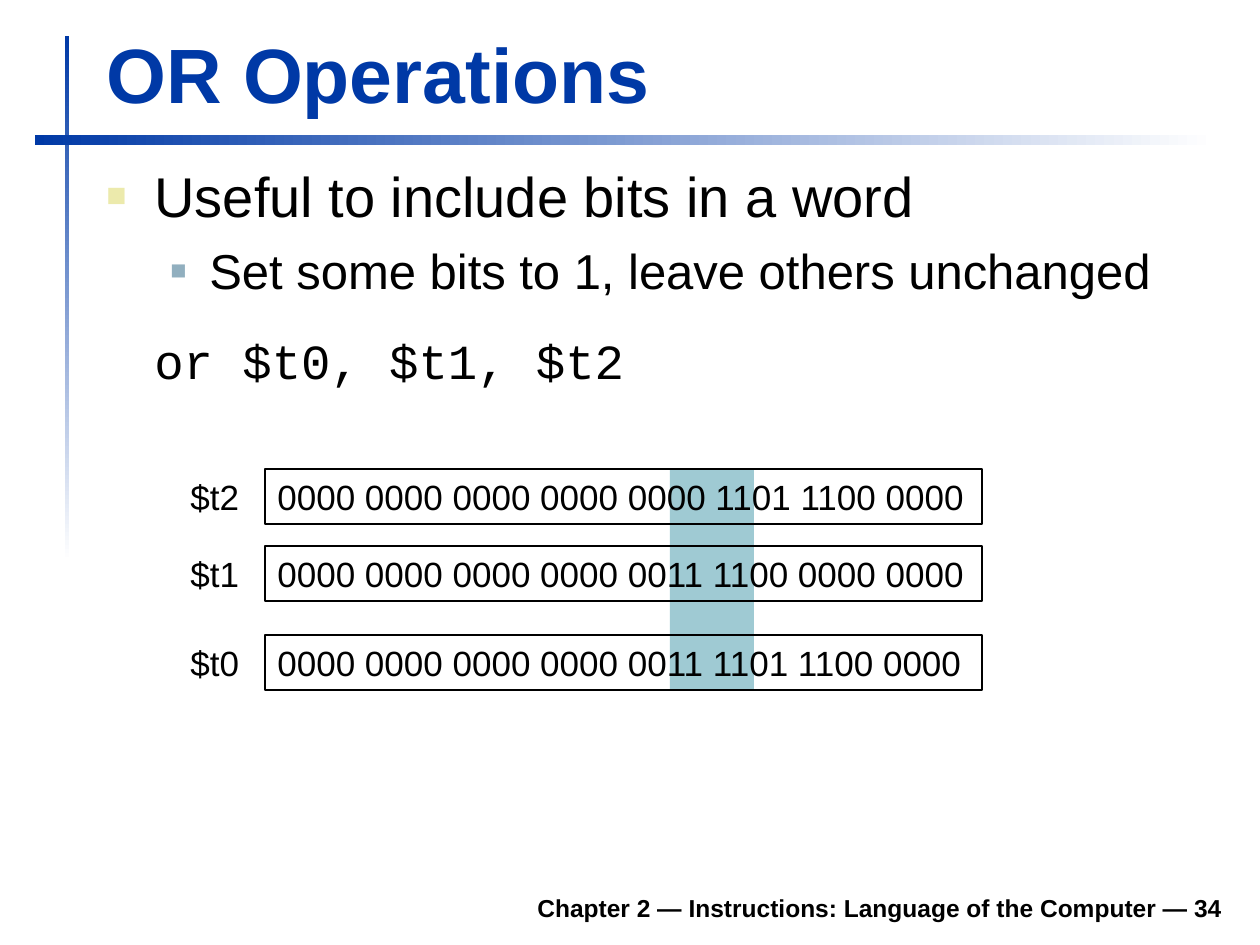
from lxml.etree import SubElement
from pptx import Presentation
from pptx.dml.color import RGBColor
from pptx.enum.shapes import MSO_SHAPE as Shape
from pptx.enum.text import MSO_ANCHOR as Anchor, MSO_AUTO_SIZE as AutoSize, PP_ALIGN as Align
from pptx.oxml.ns import qn
from pptx.util import Pt

EMU_PER_PX = 914400 / 126
BLUE, BLACK, WHITE, TEAL = "0039A6", "000000", "FFFFFF", "9FCAD3"


def px(length):
    return round(length * EMU_PER_PX)


def color(code):
    return RGBColor.from_string(code)


class Painter:
    """Holds the text style and the current slide."""
    font = "Arial"

    def __init__(self, page):
        self.page = page

    def rect(self, left, top, width, height):
        box = self.page.shapes.add_shape(
            Shape.RECTANGLE, px(left), px(top), px(width), px(height))
        box.shadow.inherit = False
        box.fill.background()
        box.line.fill.background()
        return box

    def block(self, *place, fill):
        box = self.rect(*place)
        box.fill.solid()
        box.fill.fore_color.rgb = color(fill)

    def fading_bar(self, *place, angle):
        fill = self.rect(*place).fill
        fill.gradient()
        fill.gradient_angle = angle
        for stop, code in zip(fill.gradient_stops, (BLUE, WHITE)):
            stop.color.rgb = color(code)

    def format(self, para, size, ink=BLACK, bold=False, font=None):
        for span in para.runs:
            span.font.name = font or self.font
            span.font.size = Pt(size)
            span.font.bold = bold
            span.font.color.rgb = color(ink)

    def textbox(self, left, top, width, height, anchor=Anchor.TOP):
        frame = self.page.shapes.add_textbox(
            px(left), px(top), px(width), px(height)).text_frame
        frame.word_wrap = True
        frame.vertical_anchor = anchor
        return frame

    def text(self, words, *place, size, align=Align.LEFT, anchor=Anchor.BOTTOM, **style):
        frame = self.textbox(*place, anchor=anchor)
        frame.text = words
        frame.paragraphs[0].alignment = align
        self.format(frame.paragraphs[0], size, **style)

    def outlined_text(self, words, *place, size):
        box = self.rect(*place)
        box.line.color.rgb = color(BLACK)
        box.line.width = Pt(0.75)
        frame = box.text_frame
        frame.text = words
        frame.word_wrap = False
        frame.auto_size = AutoSize.SHAPE_TO_FIT_TEXT
        frame.vertical_anchor = Anchor.TOP
        frame.paragraphs[0].alignment = Align.LEFT
        self.format(frame.paragraphs[0], size)

    def item(self, para, words, size, margin, before, after=0, level=0,
             hang=0, bullet=None, font=None):
        """A body paragraph; bullet is (colour, percent of text size)."""
        para.text = words
        para.level = level
        para.space_before, para.space_after = Pt(before), Pt(after)
        self.format(para, size, font=font)
        props = para._p.get_or_add_pPr()
        props.set("marL", str(px(margin)))
        props.set("indent", str(-px(hang)))
        if bullet:
            code, percent = bullet
            tint = SubElement(props, qn("a:buClr"))
            SubElement(tint, qn("a:srgbClr"), val=code)
            SubElement(props, qn("a:buSzPct"), val=str(percent * 1000))
            SubElement(props, qn("a:buFont"), typeface=self.font)
            SubElement(props, qn("a:buChar"), char="■")


def main():
    deck = Presentation()
    deck.slide_width, deck.slide_height = px(1260), px(945)
    painter = Painter(deck.slides.add_slide(deck.slide_layouts[6]))

    painter.fading_bar(65, 36, 4, 525, angle=270)
    painter.fading_bar(35, 135, 1180, 10, angle=0)
    painter.text("Chapter 2 — Instructions: Language of the Computer — 34",
                 233, 880, 1002, 49, size=14, align=Align.RIGHT, bold=True)
    painter.block(670, 470, 84, 221, fill=TEAL)
    painter.text("OR Operations", 94, 20, 1138, 105, size=44, ink=BLUE, bold=True)

    body = painter.textbox(94, 155, 1139, 286)
    painter.item(body.paragraphs[0], "Useful to include bits in a word", 32,
                 margin=48, hang=48, before=8, bullet=("ECEAAC", 60))
    painter.item(body.add_paragraph(), "Set some bits to 1, leave others unchanged", 28,
                 margin=103, hang=39, before=7, level=1, bullet=("91AFBF", 55))
    painter.item(body.add_paragraph(), "or $t0, $t1, $t2", 28,
                 margin=48, before=17.5, after=10.5, font="Courier New")

    registers = [
        (469, "$t2", "0000 0000 0000 0000 0000 1101 1100 0000"),
        (546, "$t1", "0000 0000 0000 0000 0011 1100 0000 0000"),
        (635, "$t0", "0000 0000 0000 0000 0011 1101 1100 0000"),
    ]
    for top, name, bits in registers:
        painter.text(name, 178, top, 78, 55, size=20, anchor=Anchor.TOP)
        painter.outlined_text(bits, 265, top, 717, 55, size=20)

    deck.save("out.pptx")


if __name__ == "__main__":
    main()
